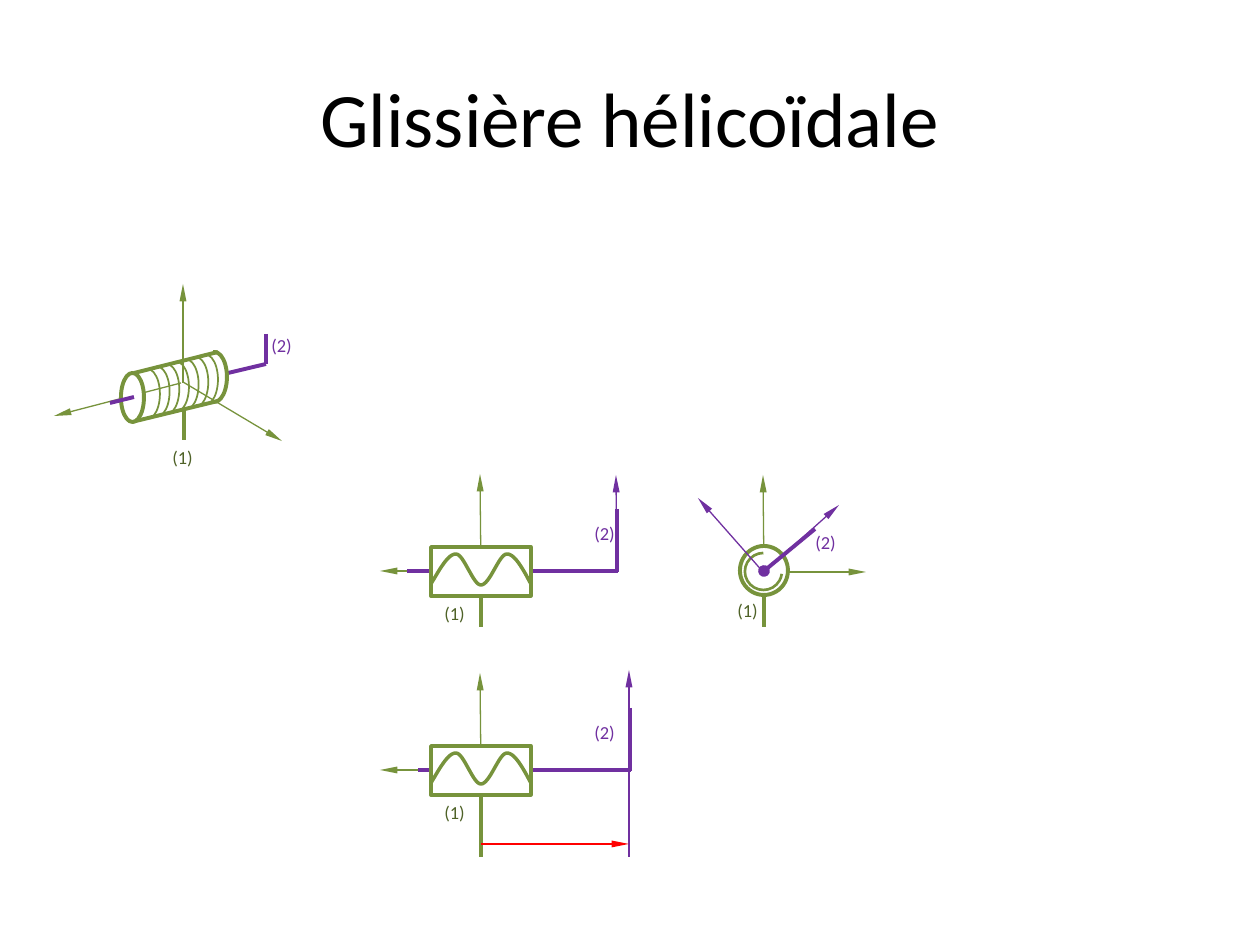
from pptx import Presentation
from pptx.dml.color import RGBColor
from pptx.enum.shapes import MSO_CONNECTOR, MSO_SHAPE
from pptx.enum.text import MSO_ANCHOR, MSO_AUTO_SIZE, PP_ALIGN
from pptx.oxml.ns import qn
from pptx.util import Pt
from lxml.etree import SubElement

GREEN = RGBColor(0x77, 0x93, 0x3C)
DARK_GREEN = RGBColor(0x4F, 0x62, 0x28)
PURPLE = RGBColor(0x70, 0x30, 0xA0)
RED = RGBColor(0xFF, 0x00, 0x00)
BLACK = RGBColor(0x00, 0x00, 0x00)
WHITE = RGBColor(0xFF, 0xFF, 0xFF)
SCALE = 914400 / 126
THIN, MEDIUM, THICK = 0.75, 2, 2.25
HALF_TURN = (160.36, 53.32)
THREE_QUARTERS = (4.46, 161.85)


def px(n):
    """Turn px into EMU."""
    return round(n * SCALE)


class Sketch:
    """Style and drawing methods for the current slide."""

    font = "Calibri"

    def __init__(self, prs):
        """Add a title-only slide."""
        self.slide = prs.slides.add_slide(prs.slide_layouts[5])
        self.shapes = self.slide.shapes

    def group(self):
        """Send the next elements to a new group."""
        self.shapes = self.slide.shapes.add_group_shape().shapes

    def ungroup(self):
        """Send the next elements to the slide itself."""
        self.shapes = self.slide.shapes

    def set_text(self, tf, text, size, color):
        """Fill a text frame with one centred paragraph."""
        tf.text = text
        tf.word_wrap = True
        p = tf.paragraphs[0]
        p.alignment = PP_ALIGN.CENTER
        font = p.runs[0].font
        font.name, font.size = self.font, Pt(size)
        font.color.rgb = color

    def title(self, text, x, y, w, h):
        """Place and format the title."""
        sp = self.slide.shapes.title
        sp.left, sp.top, sp.width, sp.height = map(px, (x, y, w, h))
        self.set_text(sp.text_frame, text, 44, BLACK)
        sp.text_frame.vertical_anchor = MSO_ANCHOR.MIDDLE

    def label(self, text, x, y, color):
        """Add a part number."""
        tf = self.shapes.add_textbox(px(x), px(y), px(49), px(37)).text_frame
        self.set_text(tf, text, 10.5, color)
        tf.auto_size = MSO_AUTO_SIZE.SHAPE_TO_FIT_TEXT

    def line(self, x1, y1, x2, y2, color, width=THICK, tail=None):
        """Add a straight line, with an optional (type, width, length) end."""
        cxn = self.shapes.add_connector(
            MSO_CONNECTOR.STRAIGHT, px(x1), px(y1), px(x2), px(y2))
        cxn.line.color.rgb = color
        cxn.line.width = Pt(width)
        sp_pr = cxn._element.spPr
        if tail:
            end = SubElement(sp_pr.find(qn("a:ln")), qn("a:tailEnd"))
            for name, value in zip(("type", "w", "len"), tail):
                end.set(name, value)
        SubElement(sp_pr, qn("a:effectLst"))
        return cxn

    def arrow(self, x1, y1, x2, y2, color):
        """Add a thin line with a slender arrowhead."""
        self.line(x1, y1, x2, y2, color, THIN, ("triangle", "sm", "lg"))

    def outline(self, sp, width, fill=None):
        """Give a shape a green outline and a plain or empty inside."""
        sp.shadow.inherit = False
        if fill is None:
            sp.fill.background()
        else:
            sp.fill.solid()
            sp.fill.fore_color.rgb = fill
        sp.line.color.rgb = GREEN
        sp.line.width = Pt(width)

    def shape(self, kind, x, y, w, h, width=THICK):
        """Add a white shape."""
        sp = self.shapes.add_shape(kind, px(x), px(y), px(w), px(h))
        self.outline(sp, width, WHITE)
        return sp

    def arc(self, x, y, w, h, angles, width):
        """Add an open arc."""
        sp = self.shapes.add_shape(MSO_SHAPE.ARC, px(x), px(y), px(w), px(h))
        sp.adjustments[0], sp.adjustments[1] = angles
        self.outline(sp, width)

    def curve(self, start, segments, steps=16):
        """Add a run of cubic segments as a fine open outline."""
        points, p0 = [], start
        for p1, p2, p3 in segments:
            for t in (i / steps for i in range(1, steps + 1)):
                u = 1 - t
                points.append(tuple(
                    px(u**3 * a + 3 * u * u * t * b + 3 * u * t * t * c + t**3 * d)
                    for a, b, c, d in zip(p0, p1, p2, p3)))
            p0 = p3
        fb = self.shapes.build_freeform(px(start[0]), px(start[1]))
        fb.add_line_segments(points, close=False)
        self.outline(fb.convert_to_shape(), MEDIUM)

    def perspective(self):
        """Draw the joint in perspective."""
        self.group()
        self.arrow(181, 383, 54, 416, GREEN)
        self.line(218, 352, 134, 373, GREEN)
        self.arrow(183, 383, 183, 284, GREEN)
        self.arrow(183, 382, 282, 441, GREEN)
        self.label("(2)", 257, 328, PURPLE)
        self.label("(1)", 158, 440, DARK_GREEN)
        self.line(184, 440, 184, 410, GREEN)
        self.line(218, 401, 132, 422, GREEN)
        self.shape(MSO_SHAPE.OVAL, 121, 373, 23, 49)
        self.line(134, 397, 110, 403, PURPLE)
        self.line(266, 364, 228, 373, PURPLE)
        self.arc(202, 352, 25, 50, HALF_TURN, THICK)
        self.line(266, 334, 266, 364, PURPLE)
        for i in range(7):
            self.arc(135 + 9.67 * i, 369 - 2.4 * i, 25, 50, HALF_TURN, 1)

    def long_view(self, y, stub_end, crank, shaft_end, axis):
        """Draw the joint along its axis, centred on height y."""
        self.group()
        self.arrow(481, y, 480, y - 97, GREEN)
        self.arrow(481, y, 380, y, GREEN)
        self.line(crank, y - 62, crank, y + 1, PURPLE)
        self.label("(1)", 430, y + 25, DARK_GREEN)
        self.arrow(*axis, PURPLE)
        self.label("(2)", 580, y - 55, PURPLE)
        self.line(crank + 1, y, shaft_end, y, PURPLE)
        nut = self.shape(MSO_SHAPE.RECTANGLE, 431, y - 24, 100, 49, MEDIUM)
        stub = self.line(481, stub_end, 481, y + 25, GREEN)
        stub.end_connect(nut, 2)
        top, low = y - 17, y + 14
        self.curve((431, low - 1), [
            ((440, y - 2), (448, top), (456, top)),
            ((464, top), (473, low), (481, low)),
            ((490, low), (499, top), (507, top)),
            ((515, top), (523, y - 2), (531, low - 1))])

    def end_view(self):
        """Draw the joint seen from its end."""
        self.group()
        self.arrow(764, 572, 763, 475, GREEN)
        self.label("(2)", 801, 525, PURPLE)
        self.line(764, 627, 764, 572, GREEN)
        self.arrow(764, 572, 866, 572, GREEN)
        self.shape(MSO_SHAPE.OVAL, 740, 546, 48, 49)
        self.label("(1)", 723, 593, DARK_GREEN)
        self.line(815, 529, 764, 571, PURPLE, tail=("oval", "med", "med"))
        self.arc(745, 553, 37, 37, THREE_QUARTERS, 1.5)
        self.arrow(764, 572, 839, 505, PURPLE)
        self.arrow(764, 573, 698, 498, PURPLE)


def main():
    """Build the slide."""
    prs = Presentation()
    prs.slide_width, prs.slide_height = px(1260), px(945)
    s = Sketch(prs)
    s.title("Glissière hélicoïdale", 63, 38, 1134, 158)
    s.perspective()
    s.long_view(571, 627, 617, 407, (617, 572, 616, 475))
    s.long_view(770, 857, 630, 418, (629, 857, 629, 670))
    s.ungroup()
    s.arrow(481, 844, 629, 844, RED)
    s.end_view()
    prs.save("out.pptx")


if __name__ == "__main__":
    main()
